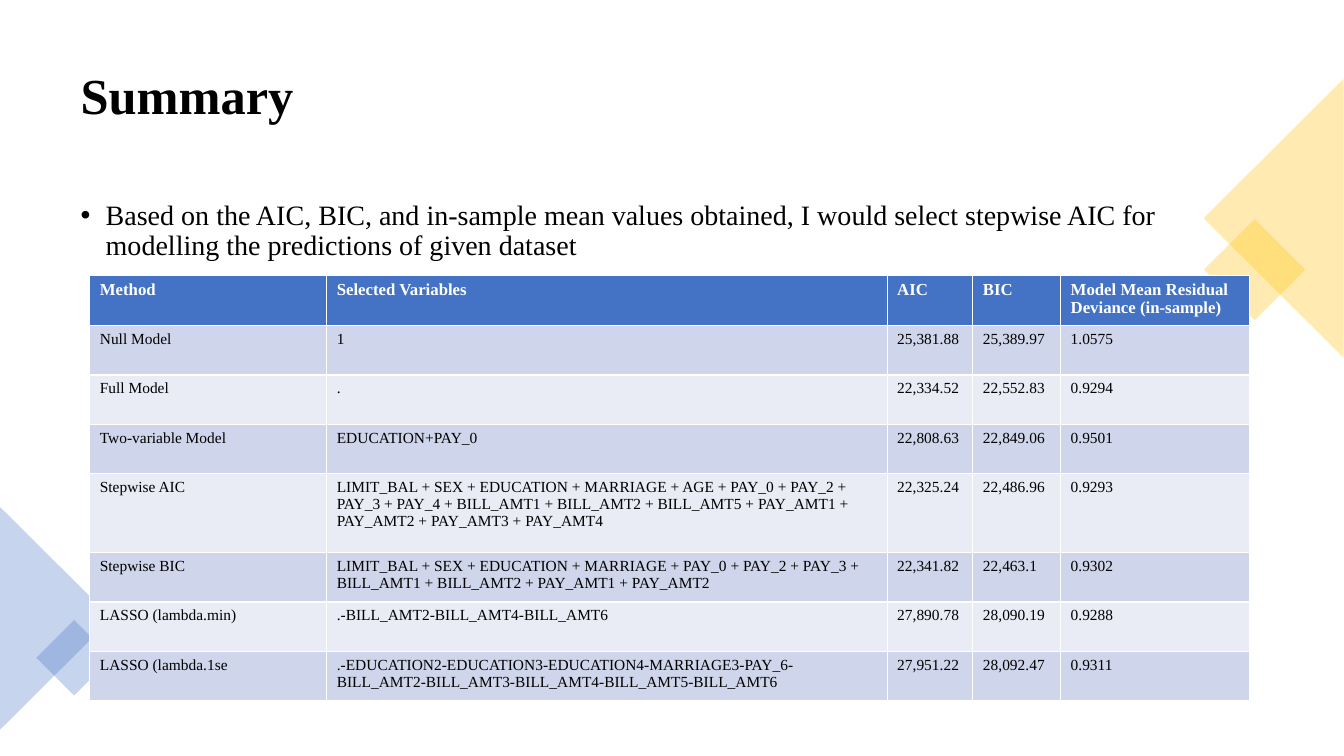
import pptx
import pptx.util
import pptx.dml.color
import pptx.enum.shapes
import pptx.enum.text
import lxml.etree

deck = pptx.Presentation()
deck.slide_width = pptx.util.Inches(13.33)
deck.slide_height = pptx.util.Inches(7.5)
wide, high = deck.slide_width / 100, deck.slide_height / 100
slide = deck.slides.add_slide(deck.slide_layouts[6])
shapes = slide.shapes
form = pptx.enum.shapes.MSO_SHAPE
anchor = pptx.enum.text.MSO_ANCHOR
ns = "{http://schemas.openxmlformats.org/drawingml/2006/main}"


def paint(fill, code):
    fill.solid()
    fill.fore_color.rgb = pptx.dml.color.RGBColor.from_string(code)


def style(para, size, code, bold=False):
    para.font.name = "Times New Roman"
    para.font.size = pptx.util.Pt(size)
    para.font.bold = bold
    paint(para.font.fill, code)


texts = [
    ("Summary", 4.67, 16.53, 36, True, anchor.MIDDLE),
    ("Based on the AIC, BIC, and in-sample mean values obtained, I would select "
     "stepwise AIC for modelling the predictions of given dataset",
     26, 64.13, 20, False, anchor.TOP),
]
for words, top, tall, size, bold, place in texts:
    box = shapes.add_textbox(int(5.25 * wide), int(top * high),
                             int(89.5 * wide), int(tall * high))
    frame = box.text_frame
    frame.word_wrap = True
    frame.vertical_anchor = place
    para = frame.paragraphs[0]
    para.text = words
    para.line_spacing = 0.9
    if not bold:
        props = para._p.get_or_add_pPr()
        props.set("marL", str(pptx.util.Inches(0.25)))
        props.set("indent", str(pptx.util.Inches(-0.25)))
        lxml.etree.SubElement(props, ns + "buFont", typeface="Arial")
        lxml.etree.SubElement(props, ns + "buChar", char="•")
    style(para, size, "000000", bold)

decor = [
    (form.RECTANGLE, 90.68, 30.93, 5.33, 9.47, 45, "FFC000"),
    (form.ISOSCELES_TRIANGLE, 84.38, 19.6, 20.78, 18.53, 270, "FFC000"),
    (form.ISOSCELES_TRIANGLE, -4.13, 74.4, 16.58, 14.8, 90, "4472C4"),
    (form.RECTANGLE, 3.53, 83.47, 3.98, 7.07, 45, "4472C4"),
]
for kind, left, top, width, tall, turn, code in decor:
    shape = shapes.add_shape(kind, int(left * wide), int(top * high),
                             int(width * wide), int(tall * high))
    shape.rotation = turn
    shape.shadow.inherit = False
    shape.line.fill.background()
    paint(shape.fill, code)
    tint = shape._element.spPr.find(ns + "solidFill")[0]
    lxml.etree.SubElement(tint, ns + "alpha", val="30000")

rows = [
    ("Method", "Selected Variables", "AIC", "BIC",
     "Model Mean Residual Deviance (in-sample)"),
    ("Null Model", "1", "25,381.88", "25,389.97", "1.0575"),
    ("Full Model", ".", "22,334.52", "22,552.83", "0.9294"),
    ("Two-variable Model", "EDUCATION+PAY_0", "22,808.63", "22,849.06", "0.9501"),
    ("Stepwise AIC",
     "LIMIT_BAL + SEX + EDUCATION + MARRIAGE + AGE + PAY_0 + PAY_2 + PAY_3 + PAY_4 + "
     "BILL_AMT1 + BILL_AMT2 + BILL_AMT5 + PAY_AMT1 + PAY_AMT2 + PAY_AMT3 + PAY_AMT4",
     "22,325.24", "22,486.96", "0.9293"),
    ("Stepwise BIC",
     "LIMIT_BAL + SEX + EDUCATION + MARRIAGE + PAY_0 + PAY_2 + PAY_3 + "
     "BILL_AMT1 + BILL_AMT2 + PAY_AMT1 + PAY_AMT2",
     "22,341.82", "22,463.1", "0.9302"),
    ("LASSO (lambda.min)", ".-BILL_AMT2-BILL_AMT4-BILL_AMT6",
     "27,890.78", "28,090.19", "0.9288"),
    ("LASSO (lambda.1se",
     ".-EDUCATION2-EDUCATION3-EDUCATION4-MARRIAGE3-PAY_6-"
     "BILL_AMT2-BILL_AMT3-BILL_AMT4-BILL_AMT5-BILL_AMT6",
     "27,951.22", "28,092.47", "0.9311"),
]
spans = [17.63, 41.7, 6.38, 6.53, 14.03]
table = shapes.add_table(len(rows), len(spans), int(6.68 * wide), int(36.4 * high),
                         int(sum(spans) * wide), int(56.2 * high)).table
for col, span in zip(table.columns, spans):
    col.width = int(span * wide)
for i, row in enumerate(rows):
    table.rows[i].height = int((10.47 if row[0] == "Stepwise AIC" else 6.53) * high)
    head = i == 0
    for j, words in enumerate(row):
        cell = table.cell(i, j)
        cell.text = words
        paint(cell.fill, "4472C4" if head else ("E9EBF5", "CFD5EA")[i % 2])
        style(cell.text_frame.paragraphs[0], 12 if head else 11,
              "FFFFFF" if head else "000000", head)

deck.save("out.pptx")
